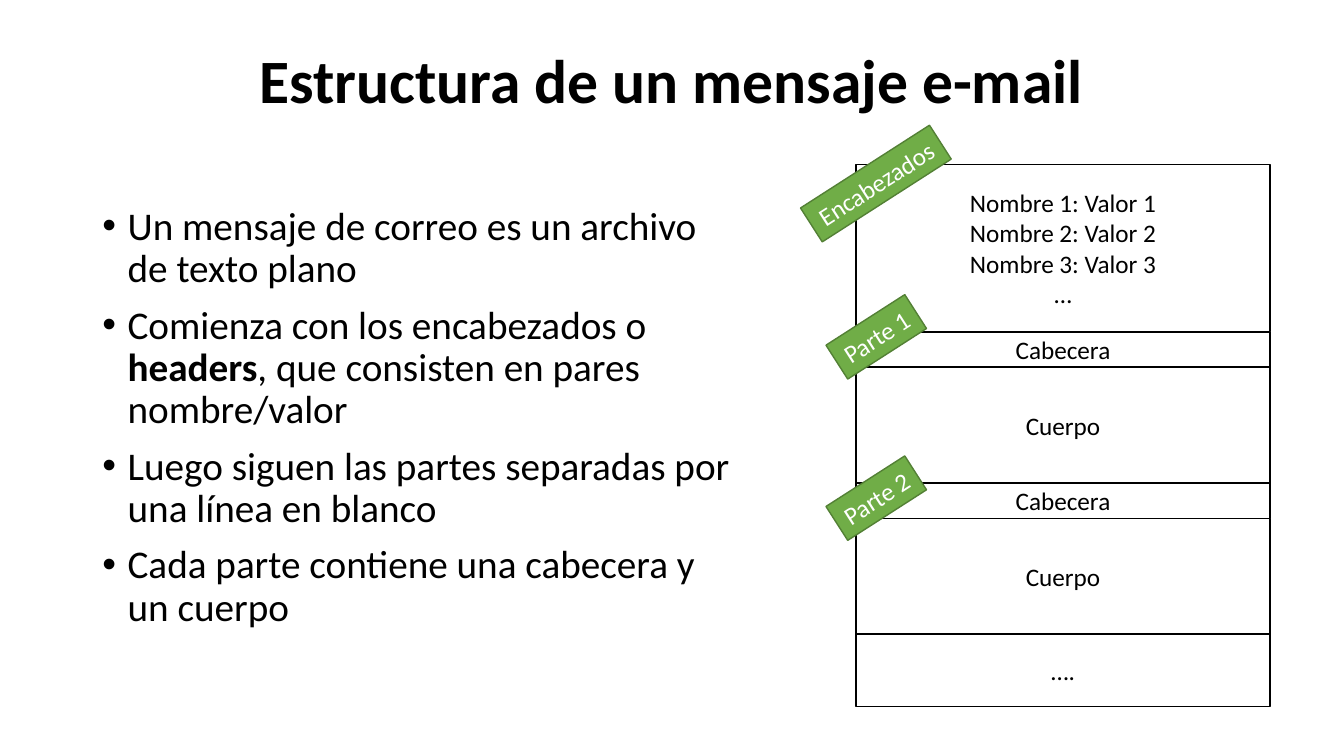
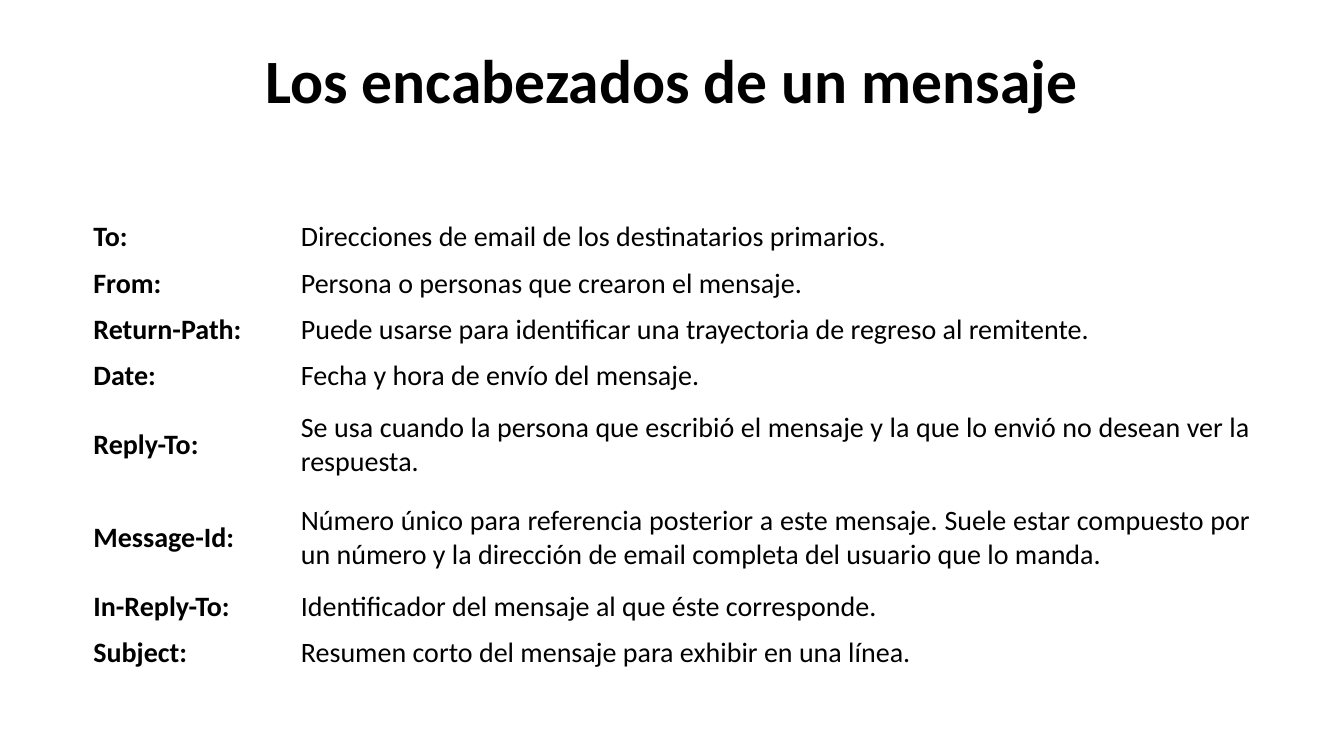
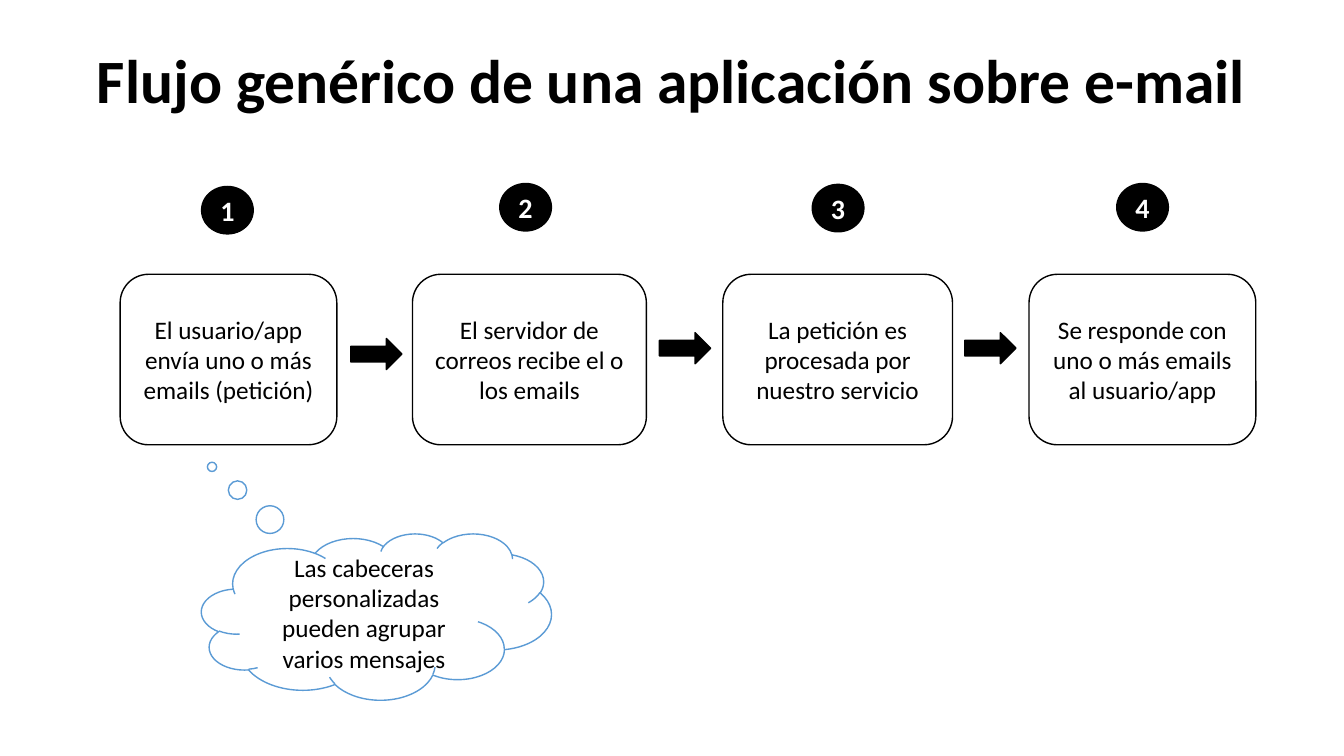
"""Build three slides about the structure and flow of e-mail messages."""
from pptx import Presentation
from pptx import util as u
from pptx.dml import color
from pptx.enum import shapes, text

BLACK = color.RGBColor(0x00, 0x00, 0x00)
WHITE = color.RGBColor(0xFF, 0xFF, 0xFF)
GREEN = color.RGBColor(0x70, 0xAD, 0x47)
DARK_GREEN = color.RGBColor(0x53, 0x80, 0x35)
BLUE = color.RGBColor(0x5B, 0x9B, 0xD5)

WIDTH, HEIGHT = u.Inches(13.333), u.Inches(7.5)
COLUMNS = 32
CELL = WIDTH / COLUMNS

FONT = "Calibri"
TITLE_LAYOUT, LIST_LAYOUT = 5, 1
CENTER = {"alignment": text.PP_ALIGN.CENTER}
MIDDLE = {"vertical_anchor": text.MSO_ANCHOR.MIDDLE, "word_wrap": True}
TAG_FRAME = {
    "vertical_anchor": text.MSO_ANCHOR.TOP,
    "word_wrap": False,
    "auto_size": text.MSO_AUTO_SIZE.SHAPE_TO_FIT_TEXT,
}
BODY_FRAME = {"word_wrap": True, "auto_size": text.MSO_AUTO_SIZE.NONE}
BULLET = {
    "alignment": text.PP_ALIGN.LEFT,
    "line_spacing": 0.9,
    "space_before": u.Pt(10),
}
INDENT = u.Inches(0.25)
CELL_FORMAT = {
    "vertical_anchor": text.MSO_ANCHOR.MIDDLE,
    "margin_left": u.Inches(0.01),
    "margin_right": u.Inches(0.01),
    "margin_top": u.Inches(0.01),
    "margin_bottom": 0,
}

POINTS = [
    "Un mensaje de correo es un archivo de texto plano",
    "Comienza con los encabezados o **headers**, que consisten en pares nombre/valor",
    "Luego siguen las partes separadas por una línea en blanco",
    "Cada parte contiene una cabecera y un cuerpo",
]
PART = [(0.84, ["Cabecera"]), (2.76, ["Cuerpo"])]
MESSAGE_BLOCKS = [
    (3.99, ["Nombre 1: Valor 1", "Nombre 2: Valor 2", "Nombre 3: Valor 3", "…"]),
    *PART,
    *PART,
    (1.73, ["…."]),
]
TAGS = [
    ("Parte 1", 19.75, 7.54, 2.23),
    ("Parte 2", 19.75, 11.38, 2.23),
    ("Encabezados", 19.03, 3.89, 3.65),
]
HEADERS = [
    ("To:", "Direcciones de email de los destinatarios primarios.", 1),
    ("From:", "Persona o personas que crearon el mensaje.", 1),
    ("Return-Path:", "Puede usarse para identificar una trayectoria de regreso al remitente.", 1),
    ("Date:", "Fecha y hora de envío del mensaje.", 1),
    ("Reply-To:", "Se usa cuando la persona que escribió el mensaje y la que lo envió "
     "no desean ver la respuesta.", 2),
    ("Message-Id:", "Número único para referencia posterior a este mensaje. Suele estar "
     "compuesto por un número y la dirección de email completa del usuario que lo manda.", 2),
    ("In-Reply-To:", "Identificador del mensaje al que éste corresponde.", 1),
    ("Subject:", "Resumen corto del mensaje para exhibir en una línea.", 1),
]
STEPS = [
    ("El usuario/app envía uno o más emails (petición)", 2.86, 5.16, (4.8, 4.44)),
    ("El servidor de correos recibe el o los emails", 9.82, 5.57, (11.9, 4.37)),
    ("La petición es procesada por nuestro servicio", 17.21, 5.47, (19.34, 4.39)),
    ("Se responde con uno o más emails al usuario/app", 24.5, 5.4, (26.59, 4.37)),
]
ARROWS = [(8.35, 8.06), (15.7, 7.92), (22.97, 7.92)]


def grid(*cells):
    """Convert counts of grid cells to lengths."""
    return [u.Emu(round(count * CELL)) for count in cells]


def apply(target, values):
    """Set each named value on the target."""
    for name, value in values.items():
        setattr(target, name, value)


def write(frame, lines, size, ink=BLACK, bold=False, layout=CENTER):
    """Fill a text frame, one paragraph a line, with **marked** words in bold."""
    for index, line in enumerate(lines):
        paragraph = frame.add_paragraph() if index else frame.paragraphs[0]
        apply(paragraph, layout)
        for part, words in enumerate(line.split("**")):
            run = paragraph.add_run()
            run.text = words
            apply(run.font, {"name": FONT, "size": u.Pt(size), "bold": bold or part == 1})
            run.font.color.rgb = ink


def place(shape, *cells):
    """Move and size a shape on the grid."""
    apply(shape, dict(zip(("left", "top", "width", "height"), grid(*cells))))


def add_slide(presentation, title, layout=TITLE_LAYOUT):
    """Add a slide with the shared title style."""
    slide = presentation.slides.add_slide(presentation.slide_layouts[layout])
    shape = slide.shapes.title
    place(shape, 0, 0, COLUMNS, 3.96)
    apply(shape.text_frame, {**MIDDLE, "auto_size": text.MSO_AUTO_SIZE.NONE})
    write(shape.text_frame, [title], 44, bold=True, layout={**CENTER, "line_spacing": 0.9})
    return slide


def add_box(slide, kind, cells, fill=WHITE, line=BLACK):
    """Add a flat outlined shape on the grid."""
    shape = slide.shapes.add_shape(kind, *grid(*cells))
    shape.shadow.inherit = False
    shape.fill.solid()
    shape.fill.fore_color.rgb = fill
    shape.line.color.rgb = line
    shape.line.width = u.Pt(1)
    apply(shape.text_frame, MIDDLE)
    return shape


def add_list(slide, points):
    """Fill the body placeholder with a bulleted list."""
    body = slide.placeholders[1]
    place(body, 2.2, 4.8, 15.62, 11.42)
    apply(body.text_frame, BODY_FRAME)
    write(body.text_frame, points, 28, layout=BULLET)
    for paragraph in body.text_frame.paragraphs:
        properties = paragraph._p.get_or_add_pPr()
        properties.set("marL", str(INDENT))
        properties.set("indent", str(-INDENT))


def add_message(slide, blocks):
    """Stack the blocks of a message from top to bottom."""
    top = 3.91
    for height, lines in blocks:
        block = add_box(slide, shapes.MSO_SHAPE.RECTANGLE, (20.38, top, 9.86, height))
        write(block.text_frame, lines, 18)
        top += height


def add_tag(slide, label, left, top, width):
    """Add a tilted green tag."""
    tag = add_box(slide, shapes.MSO_SHAPE.RECTANGLE, (left, top, width, 0.96), GREEN, DARK_GREEN)
    tag.rotation = 327.3
    apply(tag.text_frame, TAG_FRAME)
    write(tag.text_frame, [label], 18, WHITE)


def add_header_table(slide, headers):
    """Add a plain table of header names and meanings."""
    heights = [1.1 * lines for *_, lines in headers]
    frame = slide.shapes.add_table(len(headers), 2, *grid(2.2, 5.09, 27.6, sum(heights)))
    table = frame.table
    apply(table, {"first_row": False, "horz_banding": False})
    for column, width in zip(table.columns, grid(4.94, 22.66)):
        column.width = width
    for row, height, (name, meaning, _) in zip(table.rows, grid(*heights), headers):
        row.height = height
        for cell, words in zip(row.cells, (name, meaning)):
            cell.fill.solid()
            cell.fill.fore_color.rgb = WHITE
            apply(cell, CELL_FORMAT)
            write(cell.text_frame, [words], 20, bold=words == name,
                  layout={"alignment": text.PP_ALIGN.JUSTIFY})


def add_step(slide, number, label, left, width, badge_corner):
    """Add a rounded step with its numbered badge."""
    step = add_box(slide, shapes.MSO_SHAPE.ROUNDED_RECTANGLE, (left, 6.53, width, 4.06))
    write(step.text_frame, [label], 18)
    badge = add_box(slide, shapes.MSO_SHAPE.OVAL, (*badge_corner, 1.23, 1.13), BLACK)
    write(badge.text_frame, [str(number)], 20, WHITE, bold=True)


def add_thought(slide, words):
    """Add a cloud that points up to the first step."""
    cloud = add_box(slide, shapes.MSO_SHAPE.CLOUD_CALLOUT, (4.8, 12.7, 8.33, 3.96), line=BLUE)
    cloud.adjustments[0], cloud.adjustments[1] = -0.47, -0.9
    write(cloud.text_frame, [words], 18)


def main():
    """Build and save the presentation."""
    presentation = Presentation()
    apply(presentation, {"slide_width": WIDTH, "slide_height": HEIGHT})

    structure = add_slide(presentation, "Estructura de un mensaje e-mail", LIST_LAYOUT)
    add_list(structure, POINTS)
    add_message(structure, MESSAGE_BLOCKS)
    for tag in TAGS:
        add_tag(structure, *tag)

    add_header_table(add_slide(presentation, "Los encabezados de un mensaje"), HEADERS)

    flow = add_slide(presentation, "Flujo genérico de una aplicación sobre e-mail")
    for number, step in enumerate(STEPS, 1):
        add_step(flow, number, *step)
    for corner in ARROWS:
        add_box(flow, shapes.MSO_SHAPE.RIGHT_ARROW, (*corner, 1.22, 0.74), BLACK)
    add_thought(flow, "Las cabeceras personalizadas pueden agrupar varios mensajes")

    presentation.save("out.pptx")


main()
